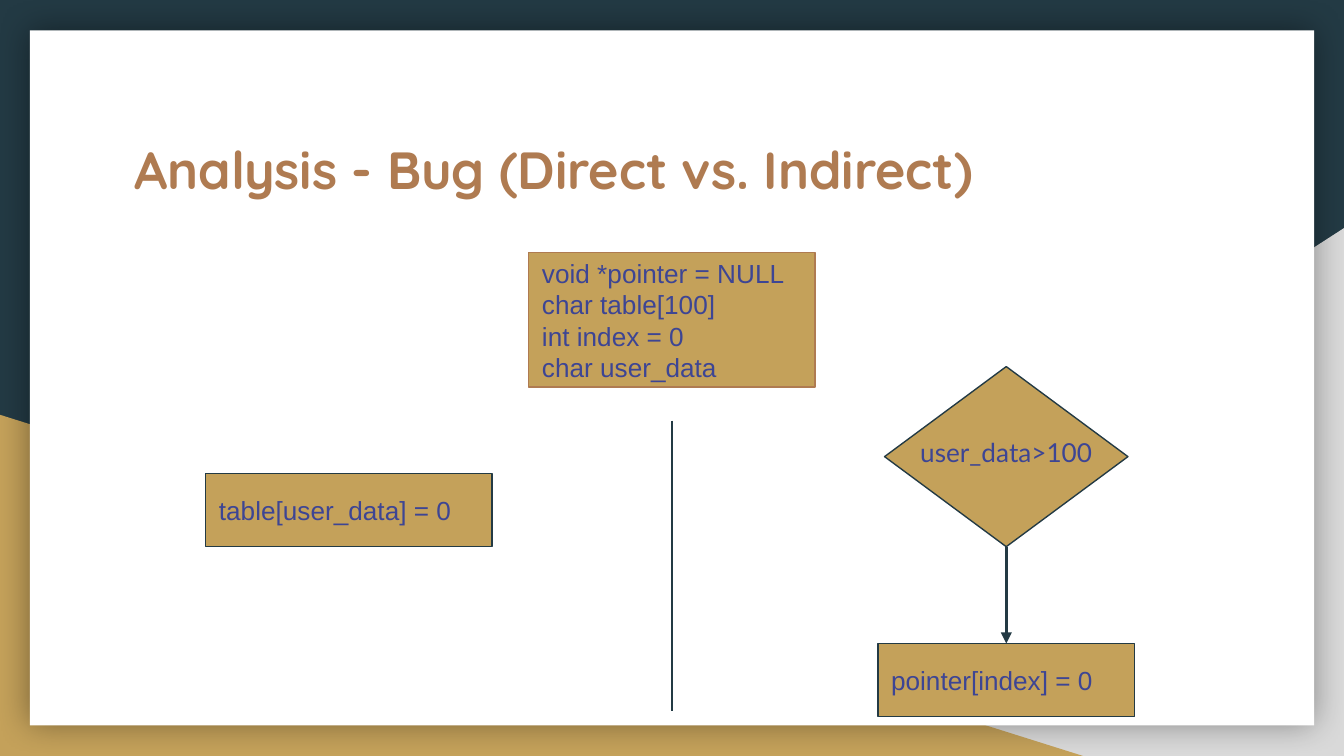
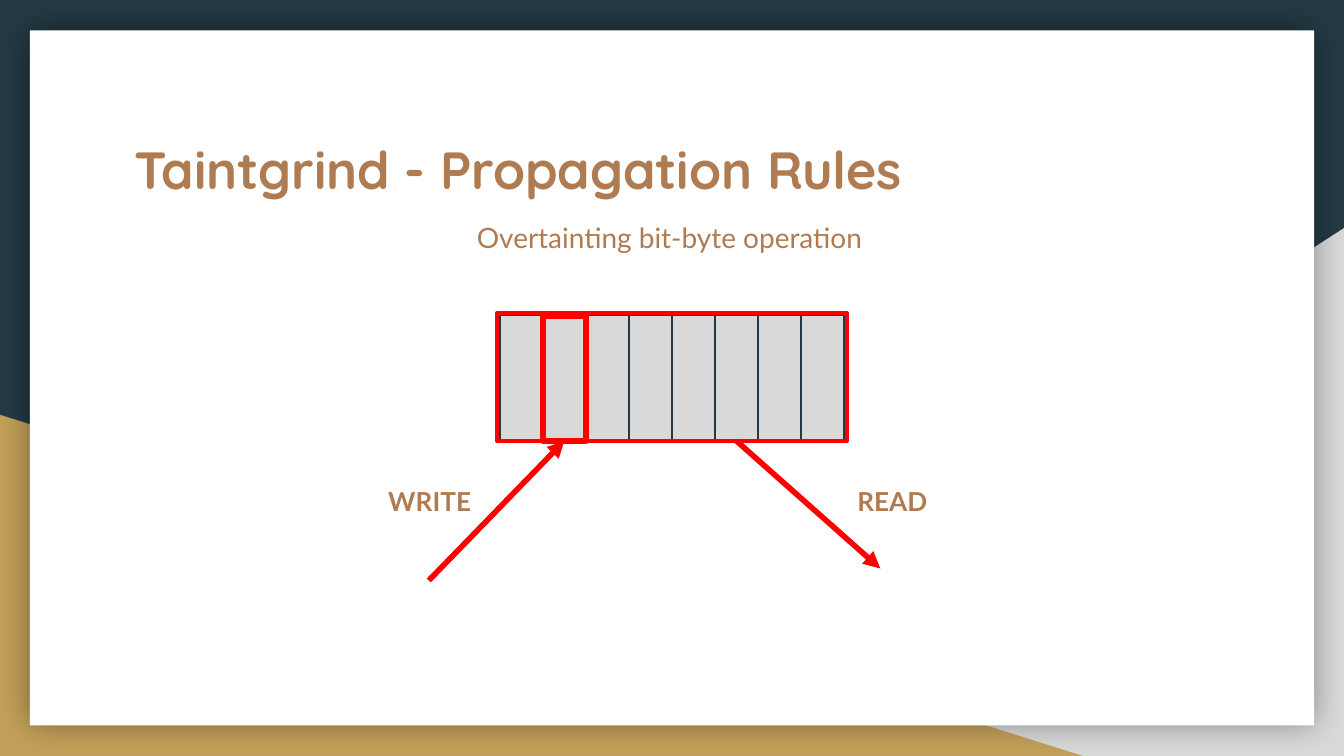
from lxml import etree
from pptx import Presentation
from pptx.dml.color import RGBColor
from pptx.enum.shapes import MSO_CONNECTOR, MSO_SHAPE
from pptx.enum.text import MSO_ANCHOR, PP_ALIGN
from pptx.oxml.ns import qn
from pptx.util import Pt

RECT, WEDGE = MSO_SHAPE.RECTANGLE, MSO_SHAPE.RIGHT_TRIANGLE
CHOICE = MSO_SHAPE.FLOWCHART_DECISION
LINE = MSO_CONNECTOR.STRAIGHT
TOP, MID = MSO_ANCHOR.TOP, MSO_ANCHOR.MIDDLE
LEFT, CENTER = PP_ALIGN.LEFT, PP_ALIGN.CENTER

NAVY, GOLD, GREY, WHITE = "233A44", "C4A15A", "D9D9D9", "FFFFFF"
BROWN, INK, RED = "AF7B51", "3D4594", "FF0000"
WIDE, HIGH = 720, 405
CARD = (16, 16.2, 688, 372.4)


def color(code):
    return RGBColor.from_string(code)


def points(*sizes):
    return [Pt(size) for size in sizes]


def shape(slide, kind, box, fill=None, edge=None, width=0.75):
    item = slide.shapes.add_shape(kind, *points(*box))
    item.shadow.inherit = False
    if fill:
        item.fill.solid()
        item.fill.fore_color.rgb = color(fill)
    else:
        item.fill.background()
    if edge:
        item.line.color.rgb = color(edge)
        item.line.width = Pt(width)
    else:
        item.line.fill.background()
    return item


def write(item, lines, size, font, ink, bold=False, align=LEFT, anchor=TOP, pitch=None):
    frame = item.text_frame
    frame.word_wrap = True
    frame.vertical_anchor = anchor
    frame.margin_left = frame.margin_right = Pt(7.2)
    frame.margin_top = frame.margin_bottom = Pt(7.2)
    for i, line in enumerate(lines):
        para = frame.add_paragraph() if i else frame.paragraphs[0]
        para.alignment = align
        if pitch:
            para.line_spacing = Pt(pitch)
        run = para.add_run()
        run.text = line
        run.font.size = Pt(size)
        run.font.name = font
        run.font.bold = bold
        run.font.color.rgb = color(ink)


def label(slide, box, text, size, font="Lato", ink=BROWN, **style):
    write(slide.shapes.add_textbox(*points(*box)), [text], size, font, ink, **style)


def code(slide, box, lines, edge=NAVY):
    item = shape(slide, RECT, box, GOLD, edge)
    write(item, lines, 14, "Arial", INK, anchor=MID, pitch=16.8)
    return item


def link(slide, start, end, ink, width, arrow=False):
    line = slide.shapes.add_connector(LINE, *points(*start, *end))
    line.line.color.rgb = color(ink)
    line.line.width = Pt(width)
    if arrow:
        etree.SubElement(line.line._get_or_add_ln(), qn("a:tailEnd"), type="triangle")
    etree.SubElement(line._element.spPr, qn("a:effectLst"))
    return line


def shade(item, blur, alpha):
    effects = item._element.spPr.find(qn("a:effectLst"))
    outer = etree.SubElement(effects, qn("a:outerShdw"), blurRad=str(Pt(blur)),
                             dist="0", dir="0", algn="ctr", rotWithShape="0")
    tint = etree.SubElement(outer, qn("a:srgbClr"), val="000000")
    etree.SubElement(tint, qn("a:alpha"), val=str(alpha * 1000))


def base(deck, title):
    """Backdrop, white card and title shared by all slides."""
    slide = deck.slides.add_slide(deck.slide_layouts[6])
    slide.background.fill.solid()
    slide.background.fill.fore_color.rgb = color(NAVY)
    right = shape(slide, WEDGE, (282.2, 122.2, WIDE - 282.2, HIGH - 122.2), GREY)
    right._element.spPr.find(qn("a:xfrm")).set("flipH", "1")
    shape(slide, WEDGE, (0, 222.2, 580.3, HIGH - 222.2), GOLD)
    shade(shape(slide, RECT, CARD, WHITE), 18, 40)
    label(slide, (64.8, 66.2, 591, 75), title, 28, "Quicksand", bold=True)
    return slide


def bugs(slide, box):
    """Direct bug on the left, indirect bug on the right."""
    x, y, w, h = box
    mid = x + w / 2
    wide, tall = 153.4, 39.2
    # Shared variables
    code(slide, (mid - wide / 2, y + 119.2, wide, 72),
         ["void *pointer = NULL", "char table[100]", "int index = 0", "char user_data"],
         BROWN)
    # Direct bug
    code(slide, (x + 94.2, y + 237.4, wide, tall), ["table[user_data] = 0"])
    link(slide, (mid, y + 209.2), (mid, y + h - 7.7), NAVY, 0.75)
    # Indirect bug
    axis = x + 523.1
    test = shape(slide, CHOICE, (axis - 65.2, y + 180.2, 130.4, 96.5), GOLD, NAVY)
    label(slide, (axis - 64, y + 210.6, 128, 36), "user_data>100", 14,
          ink=INK, align=CENTER)
    fault = code(slide, (axis - 68.8, y + 328.6, 137.6, tall), ["pointer[index] = 0"])
    arrow = link(slide, (axis, y + 276.7), (axis, y + 328.6), NAVY, 1.5, True)
    arrow.begin_connect(test, 2)
    arrow.end_connect(fault, 0)


def taint(slide, box):
    """One byte of eight bits, with one bit written and the byte read."""
    x, y, w, h = box
    label(slide, (x + 232.4, y + 94.7, 224.6, 26), "Overtainting bit-byte operation", 15)
    # Bits
    left, top, step, tall = x + 251.8, y + 153, 23.04, 67
    hot, out = 1, 5
    bits = [(left + i * step, top, step, tall) for i in range(8)]
    cells = [shape(slide, RECT, bit, GREY, NAVY) for bit in bits]
    # Tainted byte and bit
    shape(slide, RECT, (left - 1.4, top - 1.4, 187.2, tall + 1.4), None, RED, 2.25)
    dirty = shape(slide, RECT, bits[hot], None, RED, 3)
    # Write and read
    low = top + tall
    into = link(slide, (x + 213.7, y + 294.8), (left + (hot + 0.5) * step, low),
                RED, 3, True)
    into.end_connect(dirty, 2)
    away = link(slide, (left + (out + 0.5) * step, low), (x + 455.6, y + 288.4),
                RED, 3, True)
    away.begin_connect(cells[out], 2)
    for side, text in ((184.9, "WRITE"), (436.2, "READ")):
        label(slide, (x + side, y + 236.5, 67, 26), text, 14, bold=True)


def main():
    deck = Presentation()
    deck.slide_width, deck.slide_height = points(WIDE, HIGH)
    bugs(base(deck, "Analysis - Bug (Direct vs. Indirect)"), CARD)
    taint(base(deck, "Taintgrind - Propagation Rules"), CARD)
    deck.save("out.pptx")


if __name__ == "__main__":
    main()
